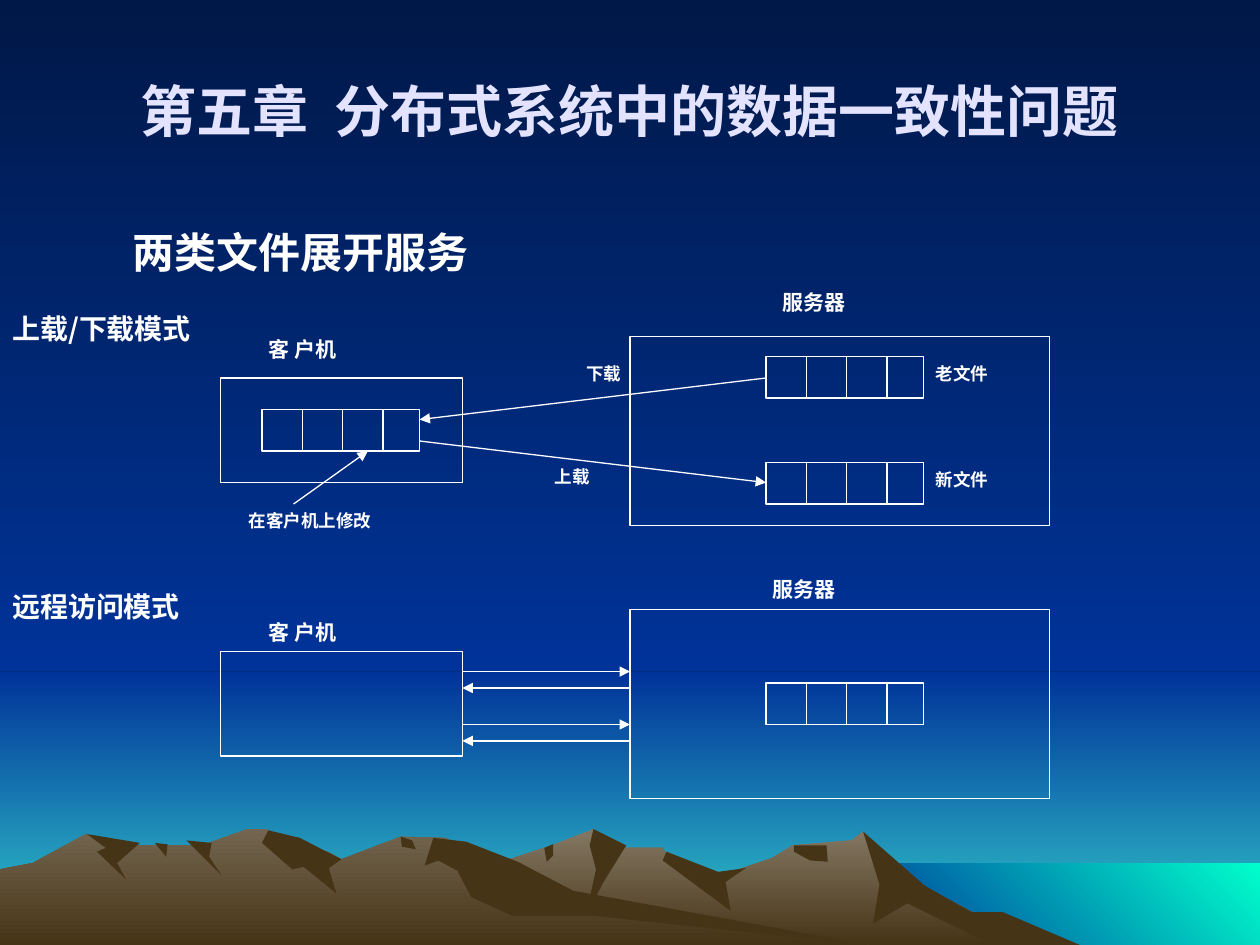
import pptx
import pptx.dml.color
import pptx.enum.shapes
import pptx.enum.text
import pptx.oxml
import pptx.oxml.ns
import pptx.util

PX = 9144  # 100 px to the inch
COLORS = {
    "night": "001847", "blue": "003399", "horizon": "33CCCC", "sea": "00FFCC",
    "rock": "847864", "near_rock": "73654F", "shade": "463416",
    "title": "E3E3FF", "white": "FFFFFF",
}
RGB = {k: pptx.dml.color.RGBColor.from_string(v) for k, v in COLORS.items()}
NS = pptx.oxml.ns.nsdecls("a")
CJK = "Noto Sans CJK SC"
LEFT, CENTER = pptx.enum.text.PP_ALIGN.LEFT, pptx.enum.text.PP_ALIGN.CENTER
RECT = pptx.enum.shapes.MSO_SHAPE.RECTANGLE
STRAIGHT = pptx.enum.shapes.MSO_CONNECTOR.STRAIGHT

prs = pptx.Presentation()
prs.slide_width, prs.slide_height = 1000 * PX, 750 * PX
s = prs.slides.add_slide(prs.slide_layouts[5])


def paint(fill, colors, angle=270):
    """Fill with one colour, or with a gradient of two."""
    if len(colors) == 1:
        fill.solid()
        fill.fore_color.rgb = RGB[colors[0]]
        return
    fill.gradient()
    fill.gradient_angle = angle
    for stop, color in zip(fill.gradient_stops, colors):
        stop.color.rgb = RGB[color]


def write(shape, text, size, font, color="white", align=LEFT, inset=10):
    tf = shape.text_frame
    frame = {
        "word_wrap": True, "margin_left": inset * PX, "margin_right": 10 * PX,
        "margin_top": 5 * PX, "margin_bottom": 5 * PX,
    }
    for name, value in frame.items():
        setattr(tf, name, value)
    p = tf.paragraphs[0]
    p.alignment = align
    r = p.add_run()
    r.text = text
    style = {"size": pptx.util.Pt(size), "bold": True, "name": font}
    for name, value in style.items():
        setattr(r.font, name, value)
    r.font.color.rgb = RGB[color]
    ea = pptx.oxml.parse_xml(f'<a:ea {NS} typeface="{CJK}"/>')
    r.font._element.find(pptx.oxml.ns.qn("a:latin")).addnext(ea)
    return r


# Sky and sea
paint(s.background.fill, ("night", "blue"))
for x, y, w, h, colors, angle in [
    (0, 533, 1000, 217, ("blue", "horizon"), 270),
    (0, 0, 1000, 533, ("night", "blue"), 270),
    (683, 685, 317, 65, ("blue", "sea"), 45),
]:
    sp = s.shapes.add_shape(RECT, x * PX, y * PX, w * PX, h * PX)
    sp.shadow.inherit = False
    sp.line.fill.background()
    paint(sp.fill, colors, angle)

# Mountains, each followed by the shaded faces that lie on it
SHADE = ("shade",)
mountains = [
    (("rock", "shade"), [
        (820, 750), (723, 698), (685, 660), (676, 667), (629, 671), (613, 681), (566, 697),
        (536, 690), (526, 673), (486, 673), (471, 658), (438, 671), (355, 698), (258, 750)]),
    (SHADE, [
        (685, 660), (698, 702), (693, 733), (720, 717), (788, 750), (857, 750), (796, 724),
        (771, 724), (734, 703)]),
    (SHADE, [(471, 658), (468, 671), (473, 690), (465, 727), (479, 700), (497, 671)]),
    (SHADE, [(529, 676), (526, 683), (580, 723), (576, 700), (592, 689), (570, 692)]),
    (SHADE, [(630, 671), (630, 676), (643, 683), (657, 684), (656, 671)]),
    (SHADE, [(432, 673), (439, 670), (439, 679), (434, 684)]),
    (("near_rock", "shade"), [
        (690, 750), (432, 712), (354, 665), (318, 664), (271, 682), (260, 676), (236, 681),
        (212, 658), (196, 658), (160, 671), (94, 671), (68, 662), (26, 685), (0, 690),
        (0, 750)]),
    (SHADE, [
        (213, 659), (208, 669), (232, 690), (241, 688), (267, 709), (261, 689), (271, 682),
        (238, 665)]),
    (SHADE, [
        (344, 665), (337, 687), (348, 683), (363, 691), (374, 712), (407, 727), (472, 727),
        (690, 750), (455, 707), (411, 684), (370, 668)]),
    (SHADE, [(318, 664), (327, 667), (330, 674), (319, 672)]),
    (SHADE, [(148, 667), (168, 669), (166, 680), (176, 695)]),
    (SHADE, [(123, 669), (133, 670), (132, 680)]),
    (SHADE, [
        (69, 662), (111, 669), (93, 685), (100, 698), (77, 676), (84, 673)]),
]
for colors, points in mountains:
    builder = s.shapes.build_freeform(*points[0], scale=PX)
    builder.add_line_segments(points[1:], close=True)
    sp = builder.convert_to_shape()
    sp.shadow.inherit = False
    sp.line.fill.background()
    paint(sp.fill, colors)

# Title, brought in front of the sky
title = s.shapes.title
title.element.getparent().append(title.element)
title.left, title.top, title.width, title.height = 50 * PX, 25 * PX, 900 * PX, 125 * PX
title.text_frame.vertical_anchor = pptx.enum.text.MSO_ANCHOR.MIDDLE
for text in ("第五章", " ", "分布式系统中的数据一致性问题"):
    r = write(title, text, 32, CJK, "title", CENTER)
    if text == " ":
        r.font._element.set("spc", "700")

# Client and server of each mode, and the files in them
files = [(208, 325), (608, 283), (608, 367), (608, 542)]
boxes = [(x, y, 125, 33) for x, y in files]
for dy in (0, 217):
    boxes += [(175, 300 + dy, 192, 83), (500, 267 + dy, 333, 150)]
for x, y, w, h in boxes:
    sp = s.shapes.add_shape(RECT, x * PX, y * PX, w * PX, h * PX)
    sp.shadow.inherit = False
    sp.fill.background()
    sp.line.color.rgb = RGB["white"]
    sp.line.width = pptx.util.Pt(0.75)

# Block dividers and arrows
lines = [(x + 32 * i, y, x + 32 * i, y + 33, False) for x, y in files for i in (1, 2, 3)]
lines += [(608, 300, 333, 333, True), (333, 350, 608, 383, True), (233, 400, 292, 358, True)]
for y in (533, 575):
    lines += [(367, y, 500, y, True), (500, y + 13, 367, y + 13, True)]
for x1, y1, x2, y2, head in lines:
    c = s.shapes.add_connector(STRAIGHT, x1 * PX, y1 * PX, x2 * PX, y2 * PX)
    c.line.color.rgb = RGB["white"]
    c.line.width = pptx.util.Pt(0.75)
    if head:
        c.line._get_or_add_ln().append(pptx.oxml.parse_xml(f'<a:tailEnd {NS} type="triangle"/>'))
    c._element.spPr.append(pptx.oxml.parse_xml(f"<a:effectLst {NS}/>"))

# Labels, by text size
labels = {
    (24, "Arial", LEFT, 55): [("两类文件展开服务", 50, 175, 900)],
    (16, CJK, LEFT, 10): [("上载/下载模式", 0, 242, 175), ("远程访问模式", 0, 463, 175)],
    (12, "Arial", LEFT, 13): [
        ("客 户机", 200, 262, 125), ("服务器", 608, 225, 125),
        ("客 户机", 200, 487, 125), ("服务器", 600, 453, 125)],
    (10, "Arial", CENTER, 10): [
        ("下载", 433, 283, 92), ("上载", 408, 365, 92), ("在客户机上修改", 167, 400, 158)],
    (10, "Arial", LEFT, 10): [("老文件", 733, 283, 83), ("新文件", 733, 367, 83)],
}
for (size, font, align, inset), group in labels.items():
    for text, x, y, w in group:
        box = s.shapes.add_textbox(x * PX, y * PX, w * PX, (2 * size + 7) * PX)
        write(box, text, size, font, align=align, inset=inset)

prs.save("out.pptx")
